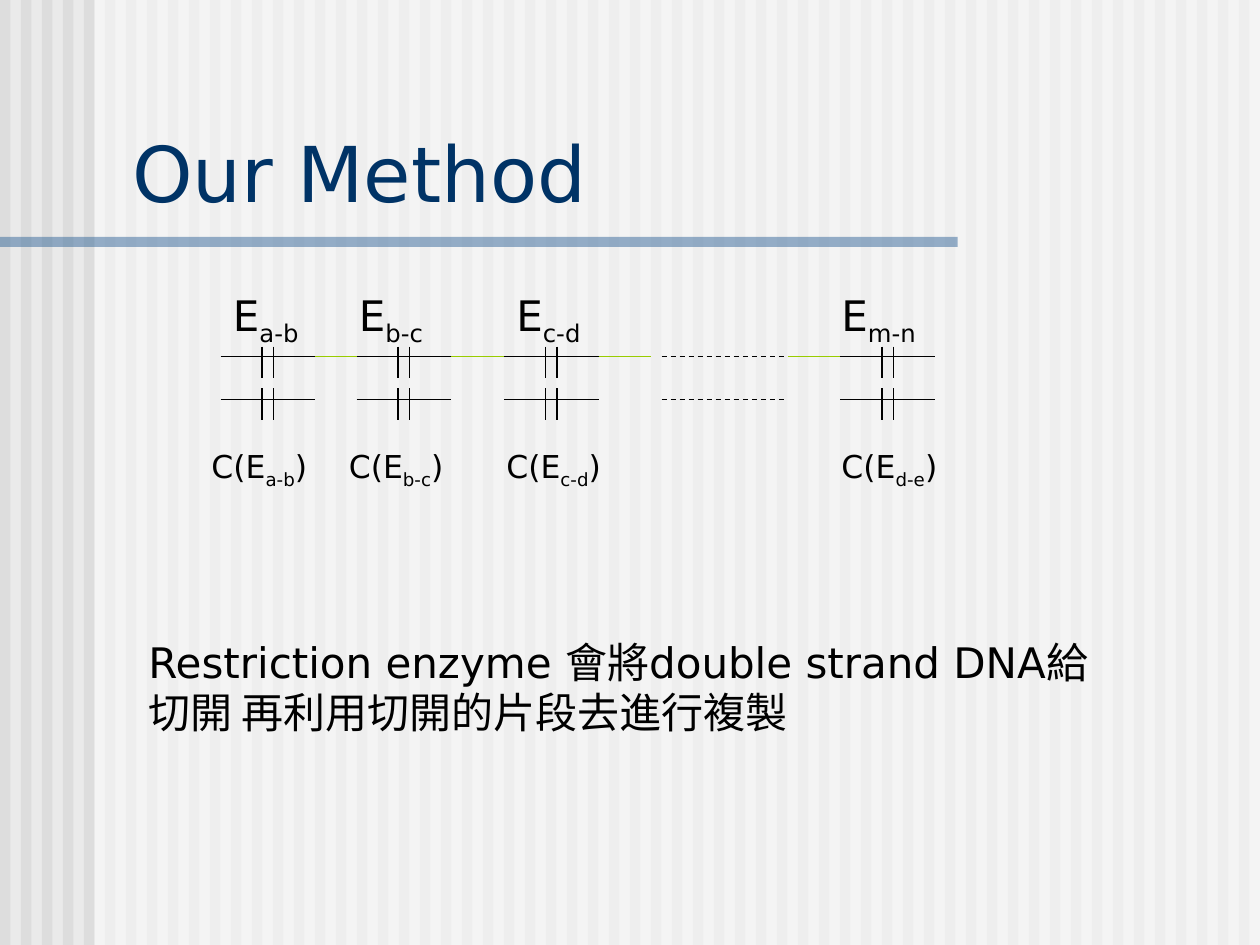
"""Builds the slide on cutting and copying DNA with restriction enzymes."""
from lxml import etree
from pptx import Presentation
from pptx.dml.color import RGBColor
from pptx.enum.dml import MSO_LINE
from pptx.enum.shapes import MSO_CONNECTOR, MSO_SHAPE
from pptx.enum.text import MSO_ANCHOR
from pptx.oxml.ns import qn
from pptx.util import Inches, Pt

RECT = MSO_SHAPE.RECTANGLE
LINE = MSO_CONNECTOR.STRAIGHT
DASH = MSO_LINE.DASH
BOTTOM = MSO_ANCHOR.BOTTOM

BACK = RGBColor(0xEA, 0xEA, 0xEA)
STRIPE = RGBColor(0xDD, 0xDD, 0xDD)
WHITE = RGBColor(0xFF, 0xFF, 0xFF)
BLUE = RGBColor(0x33, 0x66, 0x99)
NAVY = RGBColor(0x00, 0x33, 0x66)
BLACK = RGBColor(0x00, 0x00, 0x00)
GREEN = RGBColor(0x99, 0xCC, 0x00)
FONT = "DejaVu Sans"

TITLE = "Our Method"
NOTE = "Restriction enzyme 會將double strand DNA給切開 再利用切開的片段去進行複製"
# Each site: left, enzyme label and its left and width, copy label and its left
SITES = [
    (1.75, "a-b", 1.75, 0.83, "a-b", 1.58),
    (2.83, "b-c", 2.75, 0.83, "b-c", 2.67),
    (4, "c-d", 4, 0.83, "c-d", 3.92),
    (6.67, "m-n", 6.58, 1, "d-e", 6.58),
]
LINKS = [(2.5, 2.83), (3.58, 4), (4.75, 5.17), (6.25, 6.67)]
GAP = (5.25, 6.25)
STRANDS = [(2.83, 2.75), (3.17, 3.08)]
SPAN = 0.75
CUTS = (0.33, 0.42)
TICK = 0.25
COUNT = 60
STEP = 10 / COUNT


def add_rect(slide, left, top, width, height, color, alpha=None):
    rect = slide.shapes.add_shape(
        RECT, Inches(left), Inches(top), Inches(width), Inches(height))
    rect.shadow.inherit = False
    rect.fill.solid()
    rect.fill.fore_color.rgb = color
    rect.line.fill.background()
    if alpha:
        tint = rect.fill._xPr.find(".//" + qn("a:srgbClr"))
        etree.SubElement(tint, qn("a:alpha")).set("val", str(alpha * 1000))


def add_line(slide, start, end, color=BLACK, dash=None):
    line = slide.shapes.add_connector(LINE, *map(Inches, start + end))
    line.line.color.rgb = color
    line.line.width = Pt(0.75)
    if dash:
        line.line.dash_style = dash
    etree.SubElement(line._element.spPr, qn("a:effectLst"))


def add_text(slide, left, top, width, height, runs, size, color=BLACK, anchor=None):
    box = slide.shapes.add_textbox(
        Inches(left), Inches(top), Inches(width), Inches(height))
    frame = box.text_frame
    frame.word_wrap = True
    if anchor:
        frame.vertical_anchor = anchor
    for text, sub in runs:
        run = frame.paragraphs[0].add_run()
        run.text = text
        run.font.size = Pt(size)
        run.font.name = FONT
        run.font.color.rgb = color
        if sub:
            run._r.get_or_add_rPr().set("baseline", "-25000")


def add_site(slide, left, name, name_x, name_w, copy, copy_x):
    for level, top in STRANDS:
        add_line(slide, (left, level), (left + SPAN, level))
        for cut in CUTS:
            add_line(slide, (left + cut, top), (left + cut, top + TICK))
    add_text(slide, name_x, 2.25, name_w, 0.56, [("E", False), (name, True)], 24)
    add_text(slide, copy_x, 3.5, 1, 0.44,
             [("C(E", False), (copy, True), (")", False)], 18)


def main():
    deck = Presentation()
    deck.slide_width, deck.slide_height = Inches(10), Inches(7.5)
    slide = deck.slides.add_slide(deck.slide_layouts[6])
    slide.background.fill.solid()
    slide.background.fill.fore_color.rgb = BACK

    for i in range(COUNT):
        add_rect(slide, i * STEP, 0, STEP / 2, 7.5, STRIPE)
    add_rect(slide, 0.75, 0, 9.25, 7.5, WHITE, 50)
    add_rect(slide, 0, 1.88, 7.6, 0.08, BLUE, 50)
    add_text(slide, 0.95, 0.94, 8.93, 0.84, [(TITLE, False)], 44, NAVY, BOTTOM)

    for site in SITES:
        add_site(slide, *site)
    for level, _ in STRANDS:
        add_line(slide, (GAP[0], level), (GAP[1], level), dash=DASH)
    level = STRANDS[0][0]
    for start, end in LINKS:
        add_line(slide, (start, level), (end, level), GREEN)
    add_text(slide, 1.08, 5, 7.67, 0.9, [(NOTE, False)], 24)
    deck.save("out.pptx")


if __name__ == "__main__":
    main()
